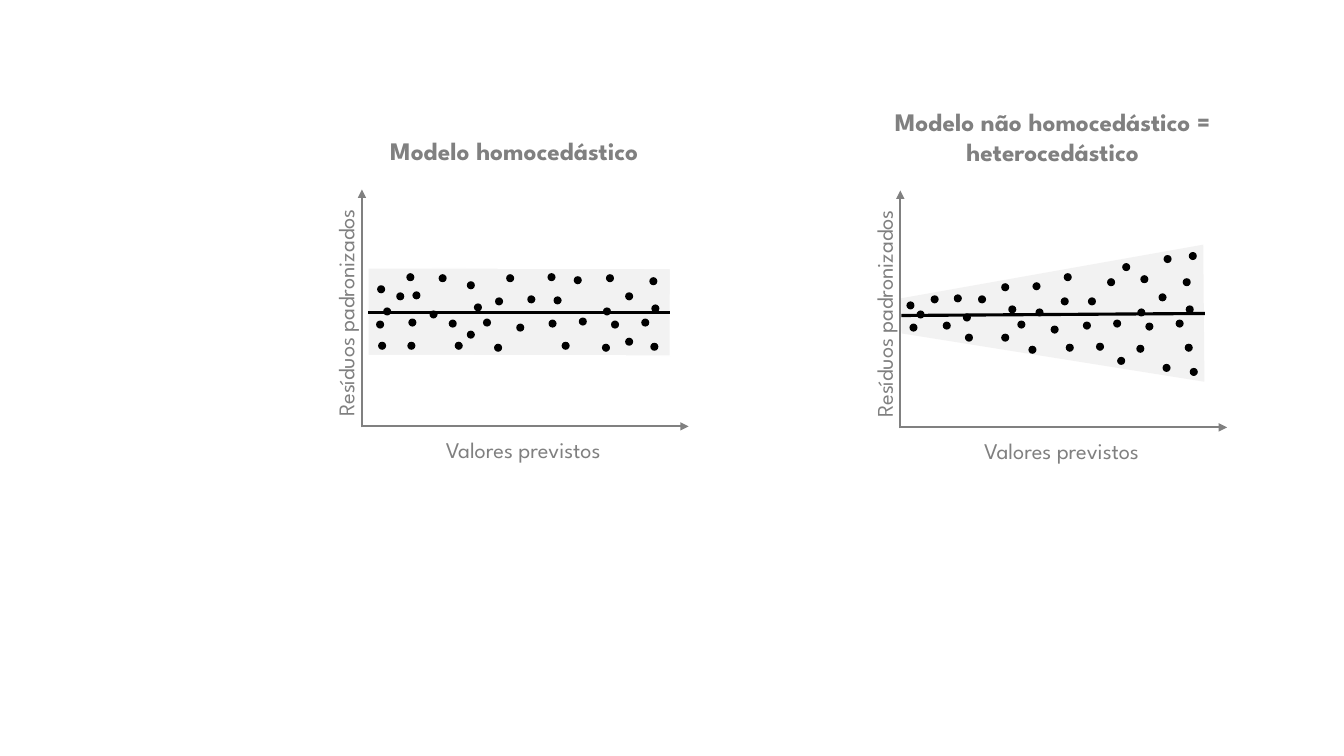
import pptx
import pptx.util
import pptx.dml.color
import pptx.enum.shapes
import pptx.enum.text
import pptx.oxml
import pptx.oxml.ns

Inches = pptx.util.Inches
Pt = pptx.util.Pt
Shape = pptx.enum.shapes.MSO_SHAPE
HUES = {"text": "808080", "band": "E7E6E6", "edge": "FFFFFF", "dot": "000000"}
FONT = "League Spartan"
DOT = 0.08

EVEN = [
    (2.85, 0.87), (2.61, 1.02), (2.77, 1.28), (2.86, 1.52), (2.42, 0.84),
    (2.47, 1.30), (2.38, 1.53), (1.84, 0.83), (1.90, 1.06), (1.98, 1.51),
    (2.15, 1.27), (1.43, 0.84), (1.64, 1.05), (1.85, 1.29), (1.32, 1.07),
    (1.31, 1.53), (1.53, 1.33), (0.76, 0.84), (1.04, 0.91), (0.45, 1.51),
    (1.20, 1.28), (0.44, 0.83), (0.50, 1.01), (0.86, 1.29), (0.15, 0.95),
    (0.21, 1.17), (0.14, 1.30), (0.16, 1.51), (0.92, 1.51), (0.46, 1.28),
    (0.34, 1.02), (1.04, 1.40), (1.11, 1.13), (0.67, 1.20), (2.61, 1.47),
    (2.87, 1.14), (2.39, 1.17), (2.10, 0.86),
]
FAN = [
    (2.80, 0.87), (2.56, 1.02), (2.73, 1.28), (2.82, 1.52), (2.38, 0.84),
    (2.43, 1.31), (2.34, 1.53), (1.86, 1.06), (1.94, 1.51), (2.11, 1.28),
    (1.31, 0.91), (1.59, 1.06), (1.81, 1.30), (1.27, 1.54), (1.49, 1.34),
    (0.77, 1.04), (1.00, 0.92), (2.15, 1.65), (1.16, 1.29), (2.86, 0.61),
    (0.53, 1.03), (2.87, 1.76), (0.16, 1.19), (0.09, 1.32), (2.60, 1.72),
    (1.64, 1.52), (0.42, 1.30), (0.30, 1.04), (1.00, 1.42), (1.07, 1.14),
    (0.62, 1.22), (2.83, 1.14), (2.35, 1.17), (2.05, 0.87), (0.64, 1.42),
    (2.61, 0.64), (2.20, 0.72), (1.62, 0.82), (1.34, 1.17), (0.06, 1.10),
]


def tint(hue):
    """Return the named colour."""
    return pptx.dml.color.RGBColor.from_string(HUES[hue])


def add_child(node, tag, **attrs):
    """Append a drawing element with attributes."""
    child = pptx.oxml.parse_xml(f"<a:{tag} {pptx.oxml.ns.nsdecls('a')}/>")
    for name, value in attrs.items():
        child.set(name, value)
    node.append(child)


def draw_line(shapes, start, end, hue, width, arrow=False):
    """Draw a straight line, with an arrowhead if asked."""
    line = shapes.add_connector(pptx.enum.shapes.MSO_CONNECTOR.STRAIGHT,
                                *map(Inches, start + end))
    line.line.color.rgb = tint(hue)
    line.line.width = Pt(width)
    if arrow:
        add_child(line.line._get_or_add_ln(), "tailEnd", type="triangle")
    add_child(line._element.spPr, "effectLst")


def draw_shape(shapes, kind, box, hue, turn=0):
    """Draw a filled shape without outline or shadow."""
    shape = shapes.add_shape(kind, *map(Inches, box))
    shape.rotation = turn
    shape.shadow.inherit = False
    shape.fill.solid()
    shape.fill.fore_color.rgb = tint(hue)
    shape.line.fill.background()
    return shape


def write(frame, text, size, bold=False):
    """Fill a text frame with one centred run."""
    frame.word_wrap = True
    frame.auto_size = pptx.enum.text.MSO_AUTO_SIZE.NONE
    para = frame.paragraphs[0]
    para.alignment = pptx.enum.text.PP_ALIGN.CENTER
    para.space_before = Pt(0)
    run = para.add_run()
    run.text = text
    run.font.name = FONT
    run.font.size = Pt(size)
    run.font.bold = bold
    run.font.color.rgb = tint("text")


def draw_title(holder, box, text):
    """Place a plot heading in its placeholder."""
    holder.left, holder.top, holder.width, holder.height = map(Inches, box)
    holder.text_frame.vertical_anchor = pptx.enum.text.MSO_ANCHOR.BOTTOM
    write(holder.text_frame, text, 18, True)


def draw_axes(shapes, left, top):
    """Draw both axes and their labels."""
    base = top + 2.35
    draw_line(shapes, (left, base + 0.01), (left, top), "text", 1.5, True)
    draw_line(shapes, (left, base), (left + 3.24, base), "text", 1.5, True)
    labels = [("Resíduos padronizados", -1.48, 1.04, 2.64, 270),
              ("Valores previstos", -0.1, 2.4, 3.4, 0)]
    for text, x, y, width, turn in labels:
        label = shapes.add_textbox(*map(Inches, (left + x, top + y, width, 0.37)))
        label.rotation = turn
        write(label.text_frame, text, 16)


def draw_band(shapes, left, top, fan):
    """Draw the pale spread of residuals, even or widening."""
    if fan:
        band = draw_shape(shapes, Shape.TRAPEZOID,
                          (left + 0.83, top - 0.27, 1.36, 3), "band", 269.5)
        band.adjustments[0] = 0.372
    else:
        band = draw_shape(shapes, Shape.RECTANGLE,
                          (left + 0.06, top + 0.78, 3, 0.87), "band", 0.1)
        band.line.color.rgb = tint("edge")
        band.line.width = Pt(1)
    shade = band.fill._xPr.find(".//" + pptx.oxml.ns.qn("a:srgbClr"))
    add_child(shade, "alpha", val="51000")


def draw_plot(slide, holder, left, top, title, size, fan, trend, dots):
    """Draw one residual plot from its top left corner."""
    width, height = size
    draw_axes(slide.shapes, left, top)
    group = slide.shapes.add_group_shape().shapes
    draw_band(group, left, top, fan)
    start, end = [(left + x, top + y) for x, y in trend]
    draw_line(group, start, end, "dot", 2.25)
    for x, y in dots:
        draw_shape(group, Shape.OVAL, (left + x, top + y, DOT, DOT), "dot")
    box = (left + 1.51 - width / 2, top - 0.19 - height, width, height)
    draw_title(holder, box, title)


def main():
    """Build the slide and save it."""
    deck = pptx.Presentation()
    deck.slide_width, deck.slide_height = Inches(13.33), Inches(7.5)
    slide = deck.slides.add_slide(deck.slide_layouts[4])
    holders = {item.placeholder_format.idx: item for item in slide.placeholders}
    for idx in (0, 2, 4):
        node = holders[idx]._element
        node.getparent().remove(node)
    draw_plot(slide, holders[1], 3.59, 1.88, "Modelo homocedástico",
              (3.24, 0.4), False, [(0.06, 1.22), (3.06, 1.22)], EVEN)
    draw_plot(slide, holders[3], 8.93, 1.89,
              "Modelo não homocedástico = heterocedástico",
              (3.4, 0.71), True, [(0.01, 1.24), (3.02, 1.22)], FAN)
    deck.save("out.pptx")


if __name__ == "__main__":
    main()
